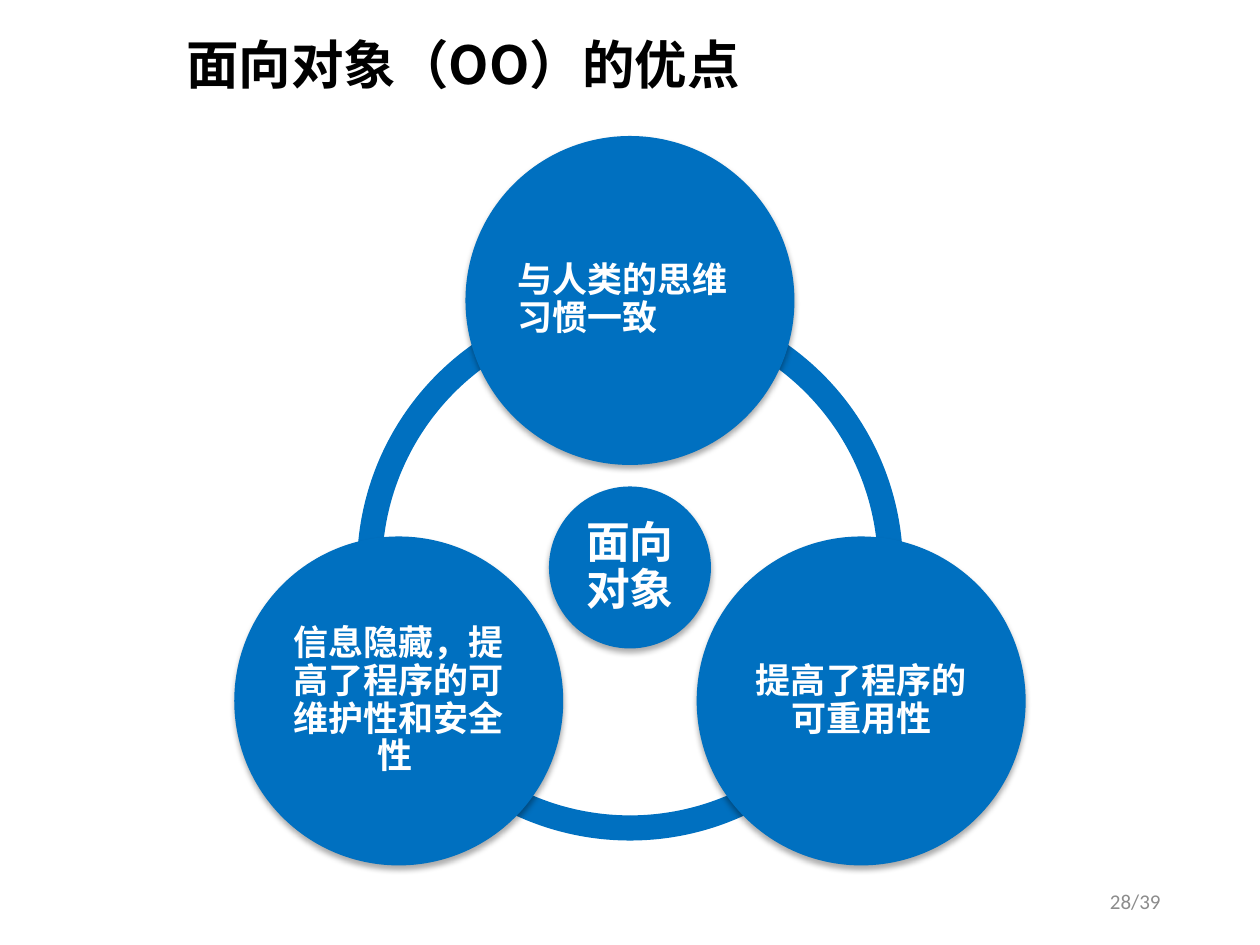
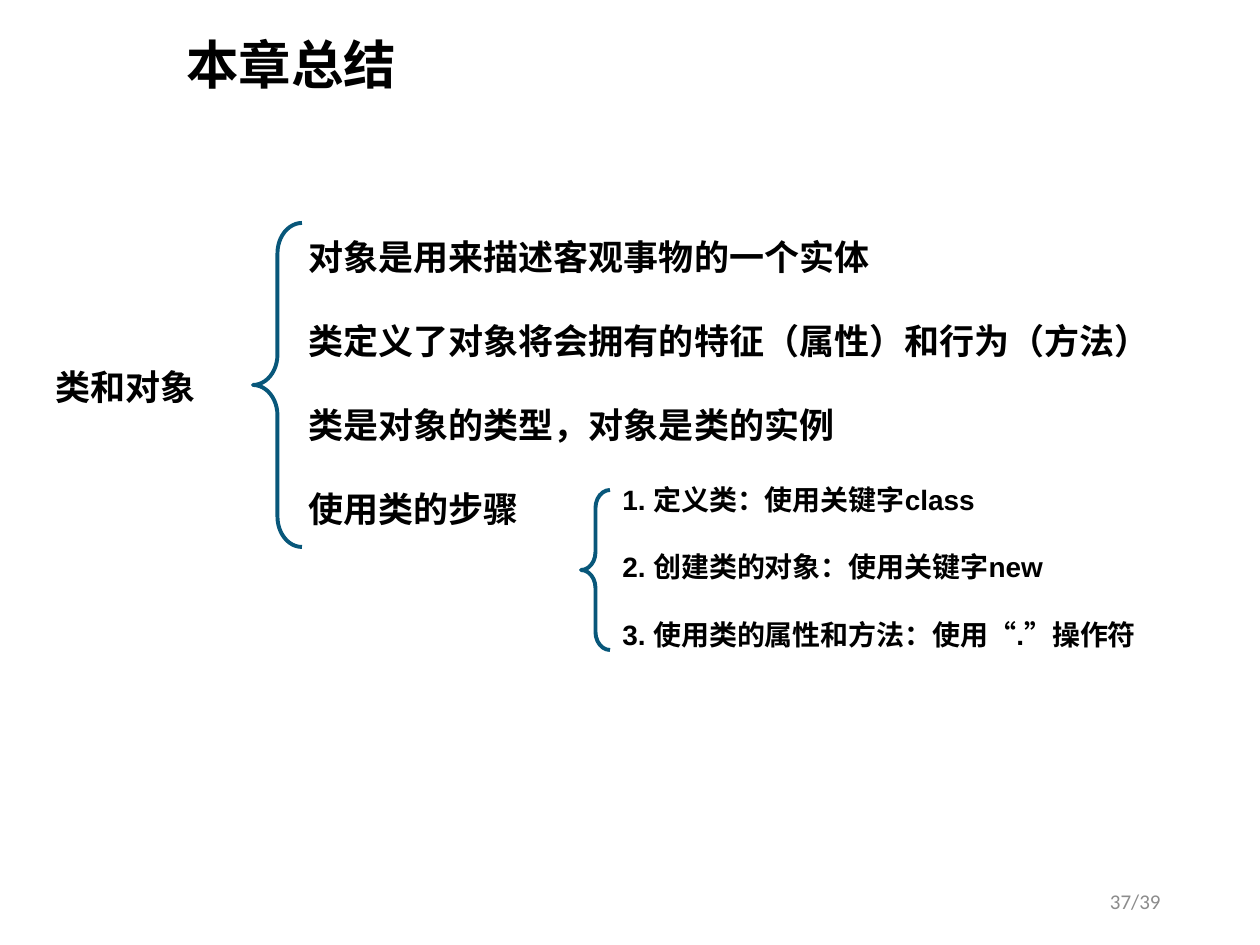
"""Build two slides on object orientation: its advantages and a chapter summary."""
import math

import lxml.etree
import pptx
import pptx.dml.color
import pptx.enum.lang
import pptx.enum.shapes
import pptx.enum.text
import pptx.oxml
import pptx.oxml.ns
import pptx.util

PX = pptx.util.Inches(1) / 126
COLOURS = {"ink": "000000", "disc": "0070C0", "on_disc": "FFFFFF",
           "brace": "08577A", "page": "8C8C8C"}
CJK_FONT = "Noto Sans CJK SC"
SHAPES = pptx.enum.shapes.MSO_SHAPE
ALIGN = pptx.enum.text.PP_ALIGN
MIDDLE = pptx.enum.text.MSO_ANCHOR.MIDDLE
TITLE_BOX = (174, 13, 1086, 110)
PAGE_BOX = (890, 876, 283, 50)
SHADOW = (
    f'<a:outerShdw {pptx.oxml.ns.nsdecls("a")} blurRad="44450" dist="27940" '
    'dir="5400000" rotWithShape="0"><a:srgbClr val="000000">'
    '<a:alpha val="32000"/></a:srgbClr></a:outerShdw>'
)


def emu(*lengths):
    """Turn px lengths into EMU."""
    return [round(length * PX) for length in lengths]


def rgb(name):
    """Return a named colour."""
    return pptx.dml.color.RGBColor.from_string(COLOURS[name])


def write(frame, lines, size, font="Arial", colour="ink", bold=True,
          align=ALIGN.LEFT, leading=None, gap=0):
    """Write one paragraph per line into a text frame."""
    frame.word_wrap = True
    for number, line in enumerate(lines):
        paragraph = frame.add_paragraph() if number else frame.paragraphs[0]
        paragraph.alignment = align
        paragraph.line_spacing = leading
        paragraph.space_after = pptx.util.Pt(gap)
        run = paragraph.add_run()
        run.text = line
        run.font.size = pptx.util.Pt(size)
        run.font.bold = bold
        run.font.name = font
        run.font.color.rgb = rgb(colour)
        run.font.language_id = pptx.enum.lang.MSO_LANGUAGE_ID.SIMPLIFIED_CHINESE
        latin = run._r.get_or_add_rPr().find(pptx.oxml.ns.qn("a:latin"))
        east_asian = lxml.etree.Element(pptx.oxml.ns.qn("a:ea"))
        east_asian.set("typeface", CJK_FONT)
        latin.addnext(east_asian)


def add_text(slide, box, lines, size, **style):
    """Add a text box and return its frame."""
    frame = slide.shapes.add_textbox(*emu(*box)).text_frame
    write(frame, lines, size, **style)
    return frame


def add_frame_slide(deck, title, page):
    """Add a blank slide with the shared title and page number."""
    slide = deck.slides.add_slide(deck.slide_layouts[6])
    heading = add_text(slide, TITLE_BOX, [title], 30, font=CJK_FONT, leading=0.9)
    heading.vertical_anchor = MIDDLE
    footer = add_text(slide, PAGE_BOX, [f"{page}/39"], 12, font="Calibri",
                      colour="page", bold=False, align=ALIGN.RIGHT)
    footer.vertical_anchor = MIDDLE
    return slide


def add_filled(slide, kind, centre_x, centre_y, size):
    """Add a flat blue shape around a centre."""
    left, top = centre_x - size / 2, centre_y - size / 2
    shape = slide.shapes.add_shape(kind, *emu(left, top, size, size))
    shape.fill.solid()
    shape.fill.fore_color.rgb = rgb("disc")
    shape.line.fill.background()
    shape.shadow.inherit = False
    return shape


def add_disc(slide, centre_x, centre_y, size, label, points, align=ALIGN.CENTER):
    """Add a shadowed disc with its label."""
    disc = add_filled(slide, SHAPES.OVAL, centre_x, centre_y, size)
    effects = disc._element.spPr.find(pptx.oxml.ns.qn("a:effectLst"))
    effects.append(pptx.oxml.parse_xml(SHADOW))
    frame = disc.text_frame
    frame.margin_left = frame.margin_right = emu(4)[0]
    frame.margin_top = frame.margin_bottom = emu(4)[0]
    frame.vertical_anchor = MIDDLE
    write(frame, [label], points, font="Calibri", colour="on_disc",
          align=align, leading=0.9)


def add_cycle(slide, box, hub, advantages):
    """Place advantages evenly on a ring around the hub."""
    left, top, width, height = box
    disc_size, orbit = 329, 267
    centre_x, centre_y = left + width / 2, top + disc_size / 2 + orbit
    step = 360 / len(advantages)
    for start in (90, 18, 162):
        end = {90: 162, 18: 90, 162: 18}[start]
        arc = add_filled(slide, SHAPES.BLOCK_ARC, centre_x, centre_y, 546)
        arc.adjustments[0] = start * 0.6
        arc.adjustments[1] = end * 0.6
        arc.adjustments[2] = 0.046
    add_disc(slide, centre_x, centre_y, 162, hub, 25)
    for number, (label, align) in enumerate(advantages):
        angle = math.radians(number * step - 90)
        add_disc(slide, centre_x + orbit * math.cos(angle),
                 centre_y + orbit * math.sin(angle), disc_size, label, 20, align)


def add_brace(slide, box):
    """Add a left brace that opens onto a list."""
    brace = slide.shapes.add_shape(SHAPES.LEFT_BRACE, *emu(*box))
    brace.adjustments[0] = 0.62
    brace.adjustments[1] = 0.5
    brace.fill.background()
    brace.line.color.rgb = rgb("brace")
    brace.line.width = pptx.util.Pt(2.25)
    brace.shadow.inherit = False


def add_outline(slide, box, topic, points, steps):
    """Place the topic, its braced points and the braced steps."""
    left, top, width, height = box
    add_text(slide, (left, top + 136, 251, 55), [topic], 20, align=ALIGN.CENTER,
             leading=pptx.util.Pt(24))
    add_brace(slide, (left + 253, top, 49, 324))
    add_text(slide, (left + 296, top + 6, 876, 310), points, 20,
             leading=pptx.util.Pt(24), gap=24)
    add_brace(slide, (left + 581, top + 267, 29, 160))
    add_text(slide, (left + 610, top + 253, width - 610, height - 253), steps, 16,
             leading=pptx.util.Pt(19.3), gap=19.3)


def main():
    """Build and save the deck."""
    deck = pptx.Presentation()
    deck.slide_width, deck.slide_height = emu(1260, 945)
    advantages = add_frame_slide(deck, "面向对象（OO）的优点", 28)
    add_cycle(advantages, (234, 136, 792, 730), "面向对象", [
        ("与人类的思维习惯一致", ALIGN.LEFT),
        ("提高了程序的可重用性", ALIGN.CENTER),
        ("信息隐藏，提高了程序的可维护性和安全性 ", ALIGN.CENTER),
    ])
    summary = add_frame_slide(deck, "本章总结", 37)
    add_outline(summary, (0, 223, 1190, 504), "类和对象", [
        "对象是用来描述客观事物的一个实体",
        "类定义了对象将会拥有的特征（属性）和行为（方法）",
        "类是对象的类型，对象是类的实例",
        "使用类的步骤",
    ], [
        "1. 定义类：使用关键字class",
        "2. 创建类的对象：使用关键字new",
        "3. 使用类的属性和方法：使用“.”操作符",
    ])
    deck.save("out.pptx")


if __name__ == "__main__":
    main()
